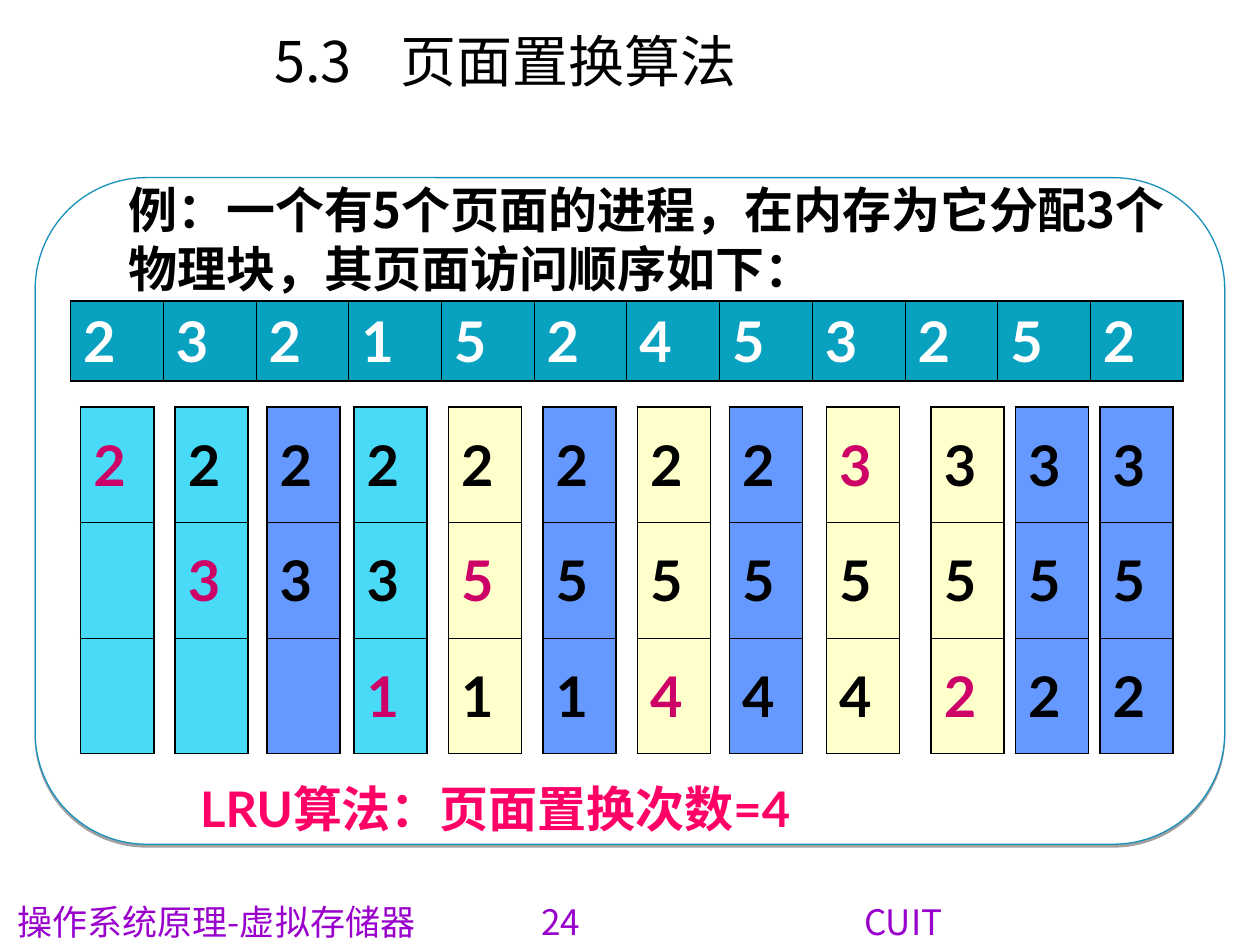
from lxml.etree import SubElement as Sub
from pptx import Presentation
from pptx.dml.color import RGBColor as RGB
from pptx.enum.shapes import MSO_SHAPE as Kind
from pptx.enum.text import MSO_ANCHOR as Anchor, PP_ALIGN as Align
from pptx.oxml.ns import qn
from pptx.util import Inches, Pt

HUE = {"panel": "FFFFFF", "edge": "1790BB", "head": "08A1C0", "white": "FFFFFF",
       "fill": "49DAF7", "swap": "FFFFCC", "hit": "6699FF", "ink": "000000",
       "new": "CC0066", "sum": "FF0066", "foot": "9900CC"}
CJK, LATIN = "Noto Sans CJK SC", "Lato"
THICK, THIN = 1.08, 0.45


def write(frame, text, size=28, font=LATIN, hue="ink", bold=True,
          align=Align.LEFT, anchor=Anchor.TOP, pitch=None, tabs=()):
    """Put one formatted paragraph in a text frame; tabs are in inches."""
    frame.word_wrap = True
    frame.vertical_anchor = anchor
    para = frame.paragraphs[0]
    para.alignment = align
    if tabs:
        stops = Sub(para._p.get_or_add_pPr(), qn("a:tabLst"))
        for stop in tabs:
            Sub(stops, qn("a:tab"), pos=str(Inches(stop)), algn="l")
    if pitch:
        para.line_spacing = Pt(pitch)
    run = para.add_run()
    run.text = text
    run.font.size, run.font.bold, run.font.name = Pt(size), bold, font
    run.font.color.rgb = RGB.from_string(HUE[hue])
    Sub(run._r.get_or_add_rPr(), qn("a:ea"), typeface=CJK)


def grid(rows, cols, left, top, wide, high, fill):
    """Add a plain table with thick outer and thin inner borders."""
    table = slide.shapes.add_table(rows, cols, left, top, wide, high).table
    table.first_row = table.horz_banding = False
    for r in range(rows):
        for c in range(cols):
            cell = table.cell(r, c)
            sides = {"L": c == 0, "R": c == cols - 1, "T": r == 0, "B": r == rows - 1}
            for side, outer in sides.items():
                line = Sub(cell._tc.get_or_add_tcPr(), qn("a:ln" + side),
                           w=str(Pt(THICK if outer else THIN)))
                Sub(Sub(line, qn("a:solidFill")), qn("a:srgbClr"), val=HUE["ink"])
            cell.fill.solid()
            cell.fill.fore_color.rgb = RGB.from_string(HUE[fill])
            cell.vertical_anchor = Anchor.MIDDLE
    return table


deck = Presentation()
deck.slide_width, deck.slide_height = Inches(10), Inches(7.5)
slide = deck.slides.add_slide(deck.slide_layouts[5])

# Title
title = slide.shapes.title
title.left, title.top, title.width, title.height = map(Inches, (0.5, 0.16, 7.02, 1.24))
write(title.text_frame, "5.3\t页面置换算法", size=32, font=CJK, bold=False,
      align=Align.CENTER, tabs=range(1, 8))

# Panel
panel = slide.shapes.add_shape(Kind.ROUNDED_RECTANGLE,
                               *map(Inches, (0.28, 1.41, 9.44, 5.29)))
panel.adjustments[0] = 0.167
panel.fill.solid()
panel.fill.fore_color.rgb = RGB.from_string(HUE["panel"])
panel.line.color.rgb = RGB.from_string(HUE["edge"])
panel.line.width = Pt(0.75)
panel.shadow.inherit = False
shade = Sub(panel._element.spPr.find(qn("a:effectLst")), qn("a:outerShdw"),
            blurRad="0", dist=str(Pt(1.6)), dir="5400000", rotWithShape="0")
Sub(Sub(shade, qn("a:srgbClr"), val=HUE["ink"]), qn("a:alpha"), val="37000")

# Text lines
lines = [
    ((0.92, 1.5, 8.52, 0.91), "例：一个有5个页面的进程，在内存为它分配3个物理块，其页面访问顺序如下：",
     dict(font=CJK, anchor=Anchor.BOTTOM, pitch=33.5)),
    ((1.49, 6.13, 8.25, 0.57), "LRU算法：页面置换次数=4", dict(hue="sum")),
    ((0.04, 7.1, 10, 0.4), "操作系统原理-虚拟存储器\t24\tCUIT",
     dict(size=20, font=CJK, hue="foot", bold=False, tabs=(4.16, 6.72))),
]
for place, text, form in lines:
    box = slide.shapes.add_textbox(*map(Inches, place))
    write(box.text_frame, text, **form)

# Page requests
calls = "232152453252"
head = grid(1, len(calls), *map(Inches, (0.56, 2.39, 8.83, 0.63)), "head")
for c, page in enumerate(calls):
    write(head.cell(0, c).text_frame, page, size=32, hue="white", anchor=Anchor.MIDDLE)

# Memory after each request: a hit, a free block filled, or a page swapped out
states = ["2", "23", "23", "231", "251", "251",
          "254", "254", "354", "352", "352", "352"]
lefts = [0.64, 1.39, 2.12, 2.81, 3.56, 4.31, 5.06, 5.79, 6.56, 7.39, 8.06, 8.73]
last = ""
for left, state in zip(lefts, states):
    fill = "hit" if state == last else "fill" if len(state) > len(last) else "swap"
    block = grid(3, 1, *map(Inches, (left, 3.23, 0.58, 2.75)), fill)
    for r, page in enumerate(state):
        write(block.cell(r, 0).text_frame, page, size=32, anchor=Anchor.MIDDLE,
              hue="ink" if page in last else "new")
    last = state

deck.save("out.pptx")
